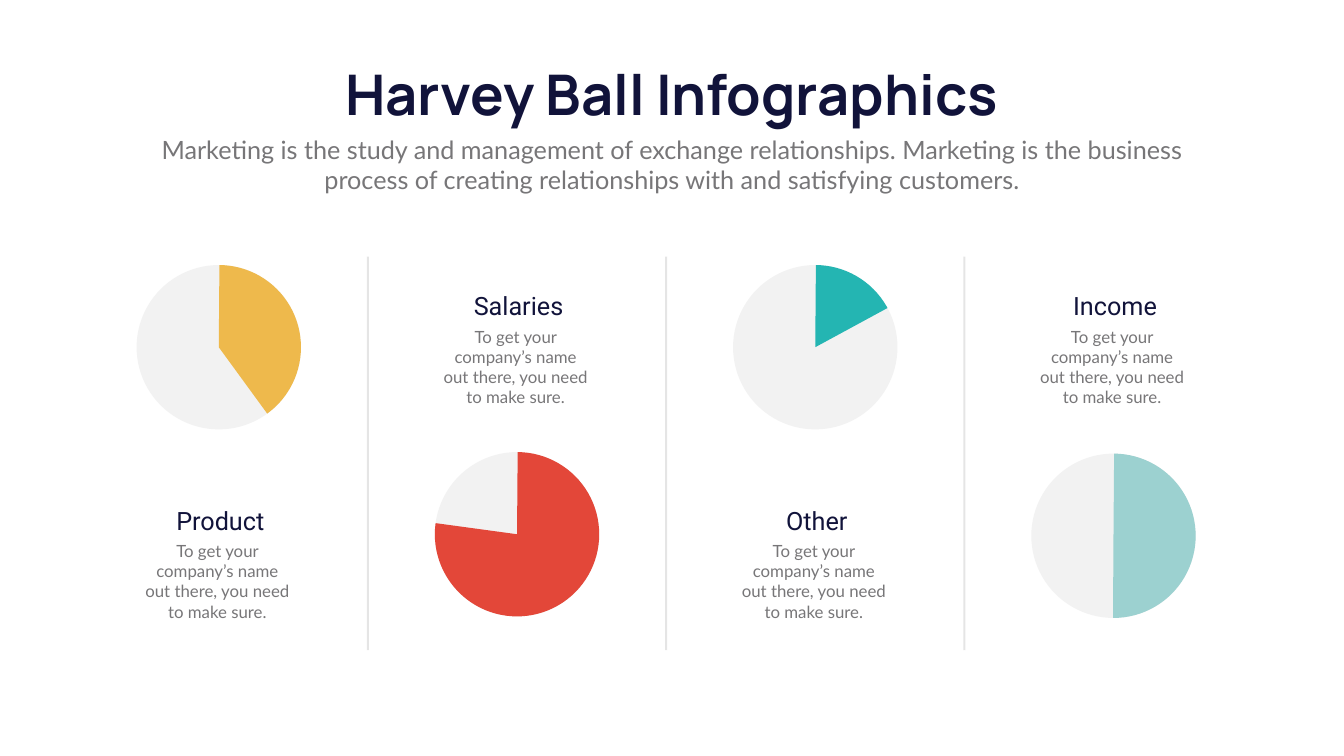
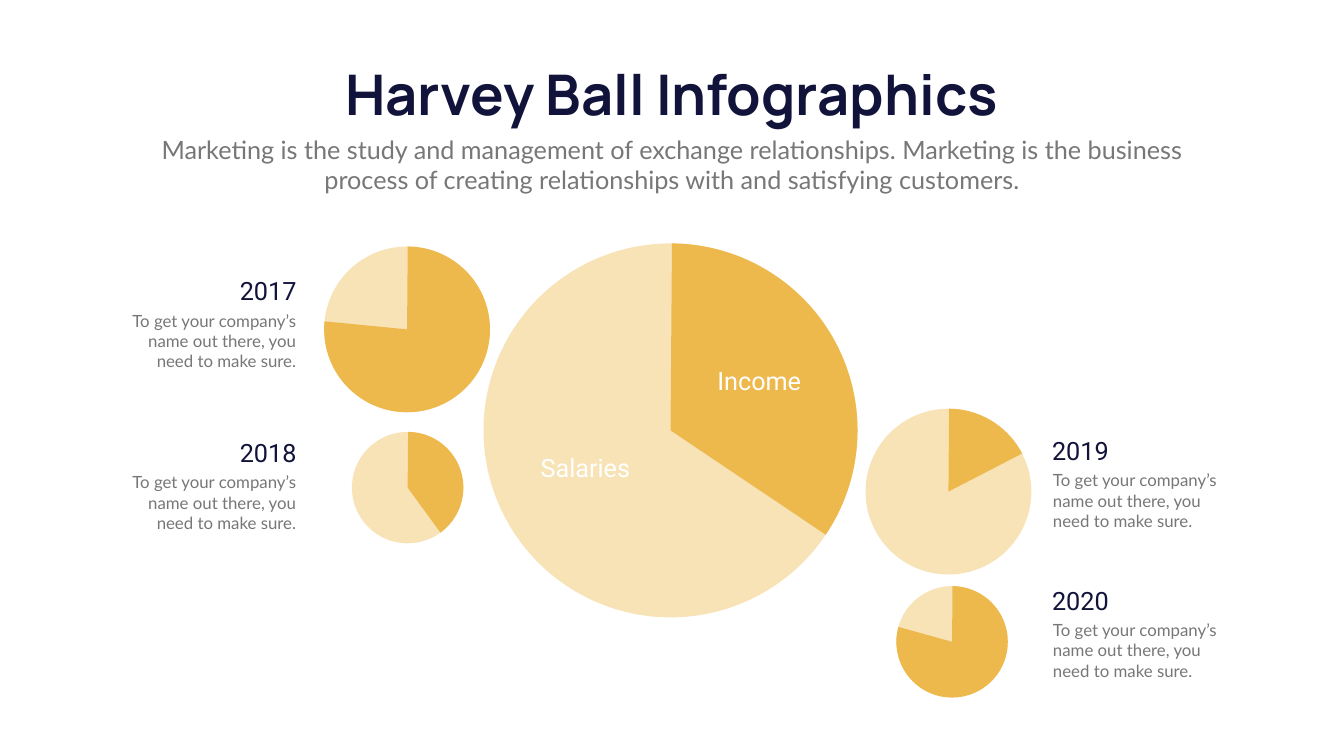
"""Build two Harvey ball infographic slides on a grid of 100 columns and 100 rows."""
import dataclasses

import lxml.etree
import pptx
import pptx.dml.color
import pptx.enum.shapes
import pptx.enum.text
import pptx.oxml.ns
import pptx.util


@dataclasses.dataclass(frozen=True)
class Theme:
    navy: str = "11133A"
    grey: str = "777678"
    white: str = "FFFFFF"
    divider: str = "808080"
    pale: str = "F2F2F2"
    sand: str = "F8E3B7"
    yellow: str = "EEB94C"
    teal: str = "24B5B2"
    red: str = "E34739"
    mint: str = "9CD1D0"
    title_font: str = "Manrope"
    heading_font: str = "Roboto"
    body_font: str = "Lato"
    title_size: int = 80
    heading_size: int = 36
    body_size: int = 24


theme = Theme()
ALIGN = pptx.enum.text.PP_ALIGN
ANCHOR = pptx.enum.text.MSO_ANCHOR
SHAPE = pptx.enum.shapes.MSO_SHAPE
TITLE = "Harvey Ball Infographics"
SUBTITLE = ("Marketing is the study and management of exchange relationships. "
            "Marketing is the business process of creating relationships with "
            "and satisfying customers.")
BODY = "To get your company’s name out there, you need to make sure."
HEADING_WIDTH, HEADING_HEIGHT = 12.23, 4.73
START_DEGREES = 270.45

presentation = pptx.Presentation()
presentation.slide_width = pptx.util.Inches(26.66)
presentation.slide_height = pptx.util.Inches(15)
column = presentation.slide_width / 100
row = presentation.slide_height / 100


def add_text(slide, text, left, top, width, height, *, shape=None, size=theme.heading_size,
             font=theme.heading_font, color=theme.navy, align=ALIGN.CENTER,
             bold=False, anchor=ANCHOR.TOP, wrap=True):
    """Write one formatted paragraph in a placeholder or a new text box."""
    shape = shape or slide.shapes.add_textbox(0, 0, 0, 0)
    shape.left, shape.top = round(left * column), round(top * row)
    shape.width, shape.height = round(width * column), round(height * row)
    frame = shape.text_frame
    frame.text = text
    frame.auto_size = pptx.enum.text.MSO_AUTO_SIZE.NONE
    frame.word_wrap = wrap
    frame.vertical_anchor = anchor
    paragraph = frame.paragraphs[0]
    paragraph.alignment = align
    run_font = paragraph.runs[0].font
    run_font.name, run_font.size, run_font.bold = font, pptx.util.Pt(size), bold
    run_font.color.rgb = pptx.dml.color.RGBColor.from_string(color)


def add_ball(slide, center_x, center_y, diameter, percent, base_color, pie_color):
    """Draw a disc with a pie covering the given percentage from the top."""
    side = round(diameter * column)
    left = round(center_x * column - side / 2)
    top = round(center_y * row - side / 2)
    for kind, color in ((SHAPE.OVAL, base_color), (SHAPE.PIE, pie_color)):
        shape = slide.shapes.add_shape(kind, left, top, side, side)
        shape.shadow.inherit = False
        shape.fill.solid()
        shape.fill.fore_color.rgb = pptx.dml.color.RGBColor.from_string(color)
        shape.line.fill.background()
    end_degrees = (270 + percent * 3.6) % 360
    shape.adjustments[0] = START_DEGREES * 0.6
    shape.adjustments[1] = end_degrees * 0.6


slides = [presentation.slides.add_slide(presentation.slide_layouts[5]) for _ in range(2)]
for slide in slides:
    add_text(slide, TITLE, 23.03, 7.47, 53.9, 9.67, shape=slide.shapes.title,
             size=theme.title_size, font=theme.title_font, bold=True,
             anchor=ANCHOR.MIDDLE, wrap=False)
    add_text(slide, SUBTITLE, 10.95, 17.4, 78.09, 8.73,
             font=theme.body_font, color=theme.grey)
columns_slide, years_slide = slides

FIRST_CENTER, PITCH = 16.28, 22.19
categories = [
    ("Product", 39.97, theme.yellow, 45.93, 66.47),
    ("Salaries", 77.16, theme.red, 70.67, 38.13),
    ("Other", 17.09, theme.teal, 45.93, 66.47),
    ("Income", 50.09, theme.mint, 70.87, 38.13),
]
for index, (name, percent, color, ball_y, heading_top) in enumerate(categories):
    center = FIRST_CENTER + index * PITCH
    text_left = center - 6
    add_ball(columns_slide, center, ball_y, 12.23, percent, theme.pale, color)
    add_text(columns_slide, name, text_left, heading_top, HEADING_WIDTH, HEADING_HEIGHT)
    add_text(columns_slide, BODY, text_left, heading_top + HEADING_HEIGHT, 11.78, 11.47,
             size=theme.body_size, font=theme.body_font, color=theme.grey)
    if index:
        divider_x = round((center - PITCH / 2) * column)
        divider = columns_slide.shapes.add_connector(
            pptx.enum.shapes.MSO_CONNECTOR.STRAIGHT,
            divider_x, round(33.93 * row), divider_x, round(86 * row))
        divider.line.width = pptx.util.Pt(3)
        divider.line.color.rgb = pptx.dml.color.RGBColor.from_string(theme.divider)
        properties = divider.line.fill._xPr.getparent()
        color_element = properties.find(".//" + pptx.oxml.ns.qn("a:srgbClr"))
        lxml.etree.SubElement(color_element, pptx.oxml.ns.qn("a:alpha"), val="20000")
        lxml.etree.SubElement(properties, pptx.oxml.ns.qn("a:effectLst"))

add_ball(years_slide, 49.89, 56.93, 27.83, 34.42, theme.sand, theme.yellow)
for name, left, top in (("Income", 47.75, 48), ("Salaries", 35.03, 59.53)):
    add_text(years_slide, name, left, top, HEADING_WIDTH, HEADING_HEIGHT,
             color=theme.white, align=ALIGN.RIGHT)

LARGE, SMALL = 12.34, 8.29
left_side = (10.2, 8.48, ALIGN.RIGHT)
right_side = (77.91, 77.98, ALIGN.LEFT)
years = [
    ("2017", 76.55, 30.29, 43.57, LARGE, 36.13, left_side),
    ("2018", 39.97, 30.33, 64.5, SMALL, 57.53, left_side),
    ("2019", 17.41, 70.57, 65.03, LARGE, 57.27, right_side),
    ("2020", 79.32, 70.84, 84.9, SMALL, 77.07, right_side),
]
for year, percent, ball_x, ball_y, diameter, heading_top, side in years:
    heading_left, body_left, align = side
    add_ball(years_slide, ball_x, ball_y, diameter, percent, theme.sand, theme.yellow)
    add_text(years_slide, year, heading_left, heading_top, HEADING_WIDTH, HEADING_HEIGHT,
             align=align)
    add_text(years_slide, BODY, body_left, heading_top + 4.6, 13.92, 8.73,
             size=theme.body_size, font=theme.body_font, color=theme.grey, align=align)

presentation.save("out.pptx")
